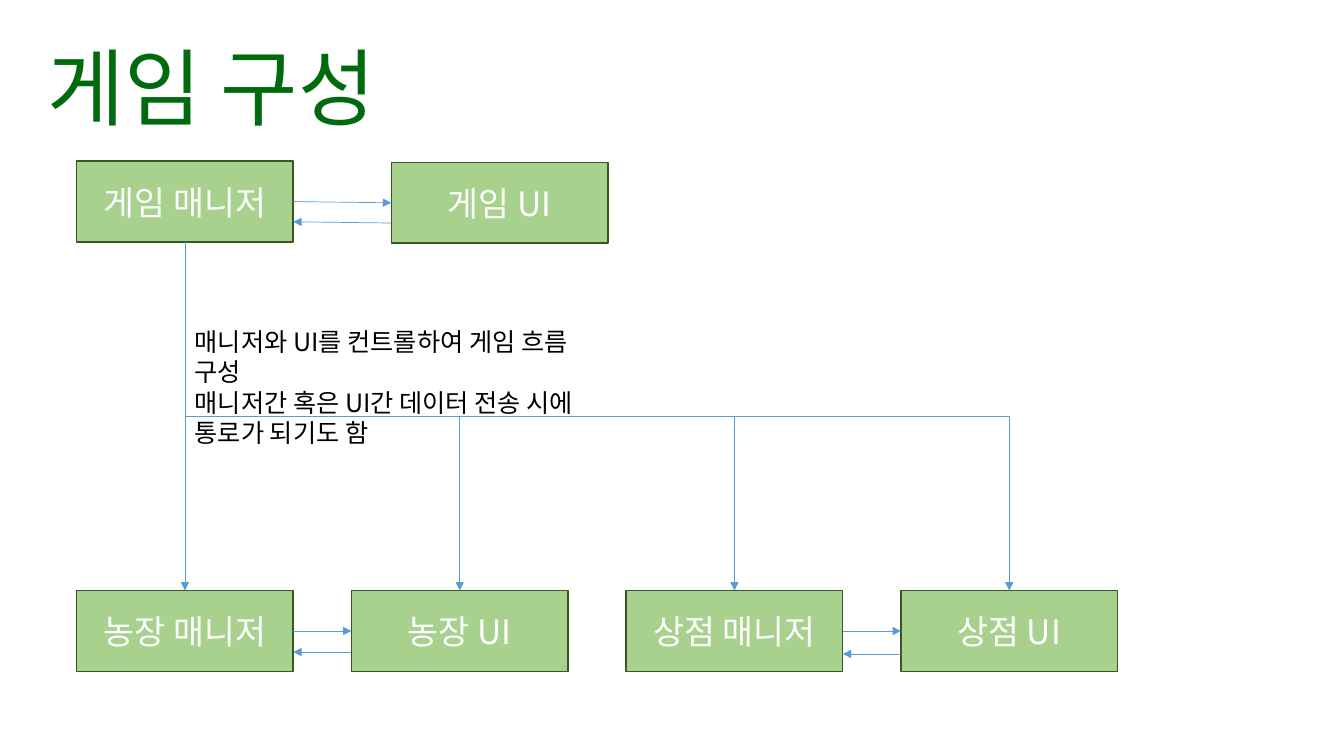
import pptx
import pptx.util
import pptx.dml.color
import pptx.enum.shapes
import pptx.enum.text
import pptx.oxml.ns
import lxml.etree
from dataclasses import dataclass
from typing import Any

Cm, Pt = pptx.util.Cm, pptx.util.Pt
RGB = pptx.dml.color.RGBColor
qn = pptx.oxml.ns.qn
MSO_CONNECTOR = pptx.enum.shapes.MSO_CONNECTOR
MSO_SHAPE = pptx.enum.shapes.MSO_SHAPE
MSO_ANCHOR = pptx.enum.text.MSO_ANCHOR
PP_ALIGN = pptx.enum.text.PP_ALIGN


@dataclass(frozen=True)
class Theme:
    font: str = "Noto Sans CJK KR"
    title: RGB = RGB(0x00, 0x6A, 0x0E)
    box_fill: RGB = RGB(0xA9, 0xD1, 0x8E)
    box_line: RGB = RGB(0x38, 0x57, 0x23)
    box_text: RGB = RGB(0xFF, 0xFF, 0xFF)
    note: RGB = RGB(0x00, 0x00, 0x00)
    arrow: RGB = RGB(0x5B, 0x9B, 0xD5)
    title_size: int = 60
    box_size: int = 24
    note_size: int = 18
    box_width: float = 1
    arrow_width: float = 0.5


@dataclass(frozen=True)
class Pair:
    """A manager and its UI, in cm; gap_back separates the two arrows."""
    name: str
    left: float
    top: float
    ui_left: float
    ui_top: float
    gap_back: float


THEME = Theme()
BOX_W, BOX_H = Cm(5.46), Cm(2.04)
COL, PITCH, ROW = 1.93, 6.925, 14.88
RIGHT_SITE, LEFT_SITE, TOP_SITE, BOTTOM_SITE = 3, 1, 0, 2

GAME = Pair("게임", COL, 4.06, 9.86, 4.09, 0.51)
FARM = Pair("농장", COL, ROW, COL + PITCH, ROW, 0.53)
SHOP = Pair("상점", COL + 2 * PITCH, ROW, COL + 3 * PITCH, ROW, 0.58)


def style_text(tf: Any, size: int, color: RGB) -> None:
    for p in tf.paragraphs:
        for r in p.runs:
            r.font.name = THEME.font
            r.font.size = Pt(size)
            r.font.color.rgb = color
            ea = lxml.etree.SubElement(r.font._element, qn("a:ea"))
            ea.set("typeface", THEME.font)


def add_box(slide: Any, text: str, left: float, top: float) -> Any:
    sp = slide.shapes.add_shape(MSO_SHAPE.RECTANGLE, Cm(left), Cm(top), BOX_W, BOX_H)
    sp.shadow.inherit = False
    sp.fill.solid()
    sp.fill.fore_color.rgb = THEME.box_fill
    sp.line.color.rgb = THEME.box_line
    sp.line.width = Pt(THEME.box_width)
    tf = sp.text_frame
    tf.text = text
    tf.vertical_anchor = MSO_ANCHOR.MIDDLE
    tf.paragraphs[0].alignment = PP_ALIGN.CENTER
    style_text(tf, THEME.box_size, THEME.box_text)
    return sp


def add_arrow(slide: Any, x1: int, y1: int, x2: int, y2: int,
              kind: Any = MSO_CONNECTOR.STRAIGHT) -> Any:
    cxn = slide.shapes.add_connector(kind, int(x1), int(y1), int(x2), int(y2))
    cxn.line.color.rgb = THEME.arrow
    cxn.line.width = Pt(THEME.arrow_width)
    ln = cxn.line._get_or_add_ln()
    lxml.etree.SubElement(ln, qn("a:tailEnd")).set("type", "triangle")
    lxml.etree.SubElement(cxn._element.spPr, qn("a:effectLst"))
    return cxn


def link(slide: Any, start: Any, start_site: int, end: Any, end_site: int) -> None:
    cxn = add_arrow(slide, 0, 0, 0, 0)
    cxn.begin_connect(start, start_site)
    cxn.end_connect(end, end_site)


def add_branch(slide: Any, start: Any, end: Any) -> None:
    """Elbow going down, across and down: a sideways elbow turned by 270 degrees."""
    x1, y1 = start.left + start.width // 2, start.top + start.height
    x2, y2 = end.left + end.width // 2, end.top
    mid_x, mid_y = (x1 + x2) / 2, (y1 + y2) / 2
    half_w, half_h = (y2 - y1) / 2, (x2 - x1) / 2
    cxn = add_arrow(slide, mid_x + half_w, mid_y - half_h,
                    mid_x - half_w, mid_y + half_h, MSO_CONNECTOR.ELBOW)
    cxn._element.spPr.find(qn("a:xfrm")).set("rot", str(270 * 60000))


def add_pair(slide: Any, pair: Pair) -> tuple[Any, Any]:
    manager = add_box(slide, f"{pair.name} 매니저", pair.left, pair.top)
    ui = add_box(slide, f"{pair.name} UI", pair.ui_left, pair.ui_top)
    link(slide, manager, RIGHT_SITE, ui, LEFT_SITE)
    drop = BOX_H // 2 + Cm(pair.gap_back)
    add_arrow(slide, ui.left, ui.top + drop,
              manager.left + BOX_W, manager.top + drop)
    return manager, ui


prs = pptx.Presentation()
prs.slide_width, prs.slide_height = Cm(33.87), Cm(19.05)
slide = prs.slides.add_slide(prs.slide_layouts[5])

# Title
title = slide.shapes.title
title.left, title.top, title.width, title.height = Cm(0.94), Cm(-0.08), Cm(29.21), Cm(3.68)
tf = title.text_frame
tf.text = "게임 구성"
tf.auto_size = pptx.enum.text.MSO_AUTO_SIZE.NONE
tf.vertical_anchor = MSO_ANCHOR.BOTTOM
tf.paragraphs[0].alignment = PP_ALIGN.LEFT
tf.paragraphs[0].line_spacing = 0.9
style_text(tf, THEME.title_size, THEME.title)

# Manager and UI pairs
game_manager, _ = add_pair(slide, GAME)
farm_manager, farm_ui = add_pair(slide, FARM)
shop_manager, shop_ui = add_pair(slide, SHOP)

# Control lines from the game manager
link(slide, game_manager, BOTTOM_SITE, farm_manager, TOP_SITE)
for target in (farm_ui, shop_manager, shop_ui):
    add_branch(slide, game_manager, target)

# Explanation
note = slide.shapes.add_textbox(Cm(4.66), Cm(8.1), Cm(10.41), Cm(3.3))
tf = note.text_frame
tf.word_wrap = True
tf.text = ("매니저와 UI를 컨트롤하여 게임 흐름 구성\n"
           "매니저간 혹은 UI간 데이터 전송 시에 통로가 되기도 함")
style_text(tf, THEME.note_size, THEME.note)

prs.save("out.pptx")
